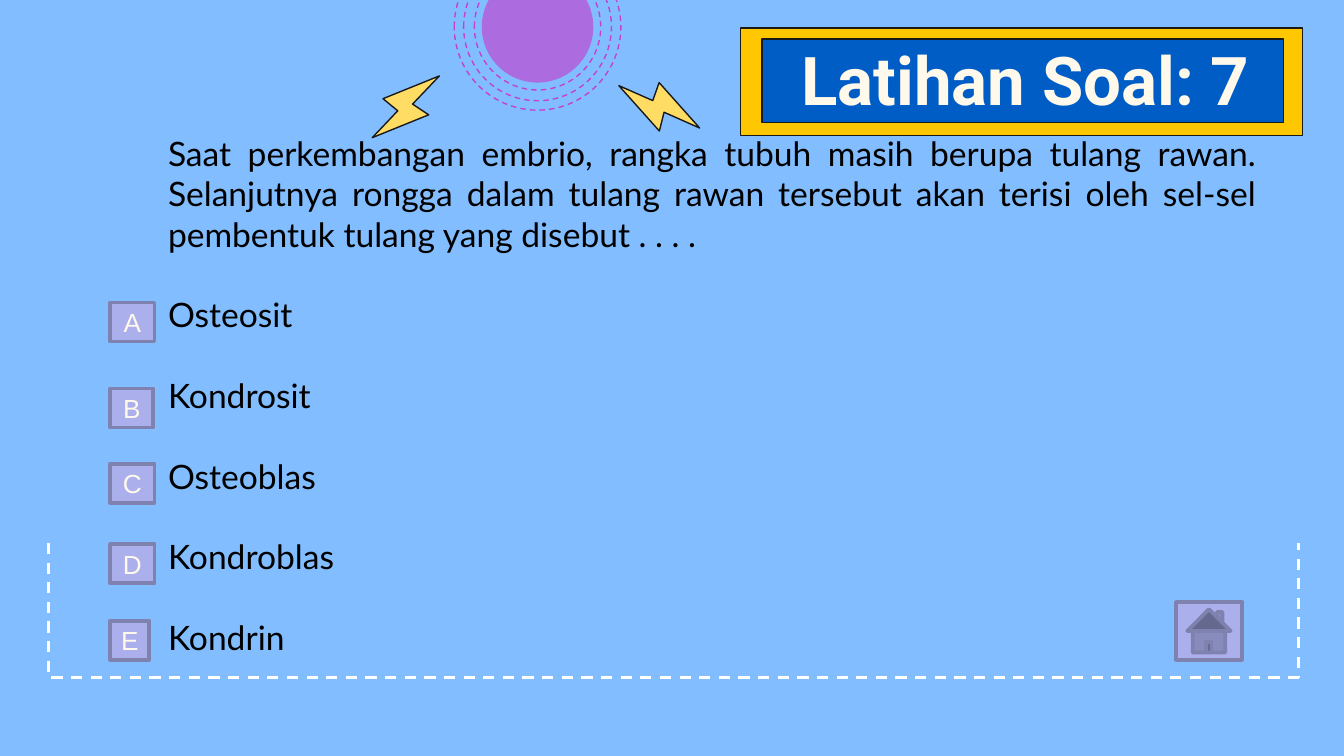
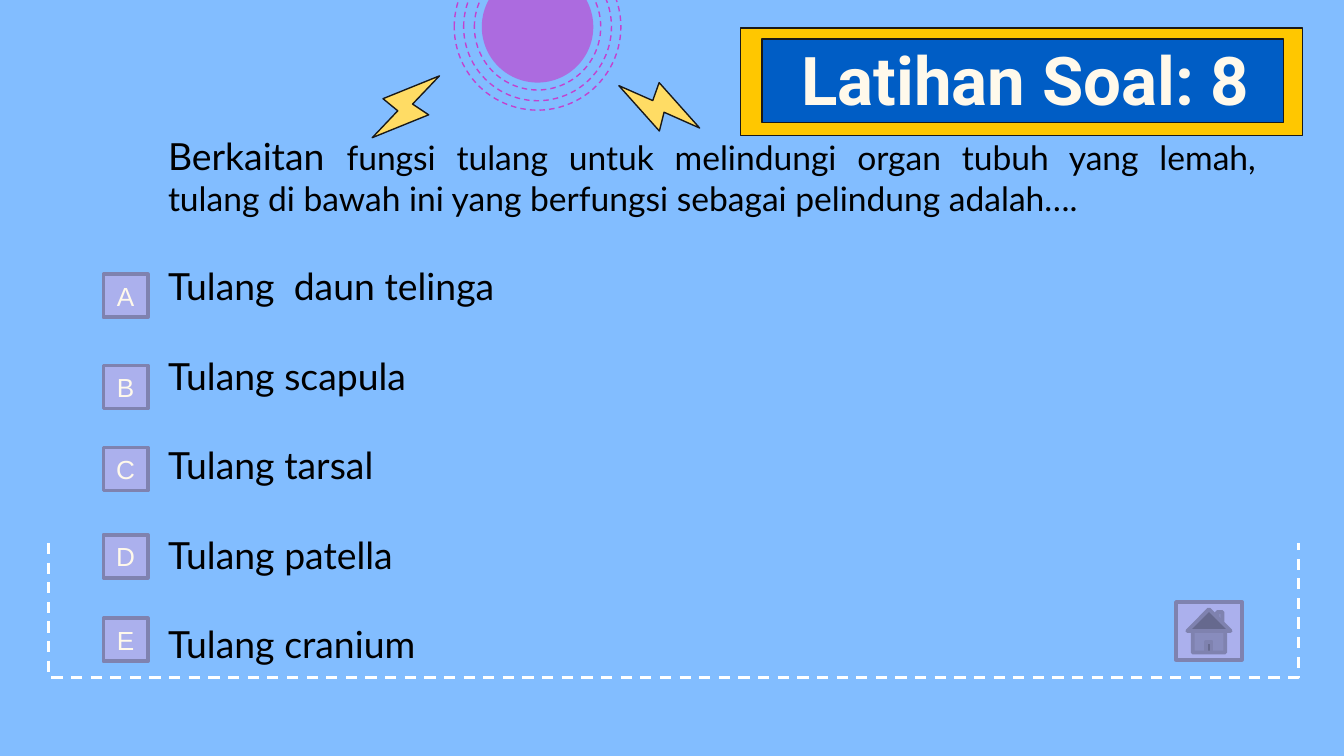
from dataclasses import dataclass

from lxml.etree import SubElement
from pptx import Presentation
from pptx.dml.color import RGBColor
from pptx.enum.dml import MSO_LINE
from pptx.enum.shapes import MSO_SHAPE as Preset
from pptx.enum.text import MSO_ANCHOR as Anchor
from pptx.enum.text import MSO_AUTO_SIZE as Fit
from pptx.enum.text import PP_ALIGN as Align
from pptx.oxml.ns import qn
from pptx.util import Inches, Pt

COLUMNS, ROWS = 100, 56.25


@dataclass(frozen=True)
class Theme:
    sky: str = "82BDFF"
    orchid: str = "C341CF"
    bolt: str = "FFDC64"
    ink: str = "191919"
    gold: str = "FFC700"
    royal: str = "005DC5"
    cream: str = "FFF9EB"
    white: str = "FFFFFF"
    black: str = "000000"
    lilac: str = "ABB0ED"
    slate: str = "7F82AF"
    title_font: str = "Roboto"
    body_font: str = "Lato"
    badge_font: str = "Arial"
    title_size: float = 36
    badge_size: float = 14
    thin: float = 0.75
    medium: float = 1.5
    thick: float = 2
    leading: float = 1.2


BOLT = [(-2.5, 2.3), (1.7, 0.6), (0.5, -0.2), (2.5, -2.3),
        (-1.7, -0.6), (-0.6, 0.3)]
FRAME = [(3.6, 40.4), (3.6, 50.4), (96.6, 50.4), (96.6, 40.4)]

QUIZ = [
    dict(
        number=7,
        question=[("Saat perkembangan embrio, rangka tubuh masih berupa tulang rawan. "
                   "Selanjutnya rongga dalam tulang rawan tersebut akan terisi oleh "
                   "sel-sel pembentuk tulang yang disebut . . . .", 18)],
        answers=["Osteosit", "Kondrosit", "Osteoblas", "Kondroblas", "Kondrin"],
        answer_size=18,
        body_height=40.4,
        badge_left=8.2,
        badge_height=2.9,
        badge_tops=[22.5, 28.9, 34.5, 40.5, 46.2],
        badge_widths=[3.3, 3.2, 3.3, 3.3, 2.9],
    ),
    dict(
        number=8,
        question=[("Berkaitan ", 20),
                  ("fungsi tulang untuk melindungi organ tubuh yang lemah, "
                   "tulang di bawah ini yang berfungsi sebagai pelindung adalah….", 18)],
        answers=["Tulang  daun telinga", "Tulang scapula", "Tulang tarsal",
                 "Tulang patella", "Tulang cranium"],
        answer_size=20,
        body_height=41.1,
        badge_left=7.7,
        badge_height=3.2,
        badge_tops=[20.4, 27.2, 33.3, 39.8, 46],
        badge_widths=[3.3] * 5,
    ),
]


def write(frame, paragraphs, *, font, color, align, bold=False, gap=0):
    for index, runs in enumerate(paragraphs):
        paragraph = frame.paragraphs[0] if index == 0 else frame.add_paragraph()
        properties = paragraph._p.get_or_add_pPr()
        properties.set("marL", "0")
        properties.set("indent", "0")
        SubElement(properties, qn("a:buNone"))
        paragraph.alignment = align
        paragraph.space_before = Pt(gap if index else 0)
        for words, size in runs:
            run = paragraph.add_run()
            run.text = words
            run.font.name = font
            run.font.size = Pt(size)
            run.font.bold = bold
            run.font.color.rgb = RGBColor.from_string(color)


class QuizDeck:
    def __init__(self, theme):
        self.theme = theme
        self.deck = Presentation()
        self.deck.slide_width, self.deck.slide_height = Inches(10), Inches(5.625)
        backdrop = self.deck.slide_master.background.fill
        backdrop.solid()
        backdrop.fore_color.rgb = RGBColor.from_string(theme.sky)
        self.slide = None

    def x(self, columns):
        return round(self.deck.slide_width * columns / COLUMNS)

    def y(self, rows):
        return round(self.deck.slide_height * rows / ROWS)

    def new_slide(self):
        self.slide = self.deck.slides.add_slide(self.deck.slide_layouts[1])

    def paint(self, shape, fill=None, line=None, weight=0, dashed=False, alpha=None):
        shape.shadow.inherit = False
        if fill:
            shape.fill.solid()
            shape.fill.fore_color.rgb = RGBColor.from_string(fill)
            if alpha:
                tint = shape._element.spPr.find(".//" + qn("a:srgbClr"))
                SubElement(tint, qn("a:alpha"), val=str(alpha * 1000))
        else:
            shape.fill.background()
        if line:
            shape.line.color.rgb = RGBColor.from_string(line)
            shape.line.width = Pt(weight)
            if dashed:
                shape.line.dash_style = MSO_LINE.DASH
        else:
            shape.line.fill.background()
        return shape

    def shape(self, preset, left, top, width, height, **look):
        drawn = self.slide.shapes.add_shape(
            preset, self.x(left), self.y(top), self.x(width), self.y(height))
        return self.paint(drawn, **look)

    def disc(self, center, diameter, **look):
        left, top = (value - diameter / 2 for value in center)
        return self.shape(Preset.OVAL, left, top, diameter, diameter, **look)

    def outline(self, points, close, **look):
        corners = [(self.x(column), self.y(row)) for column, row in points]
        builder = self.slide.shapes.build_freeform(*corners[0])
        builder.add_line_segments(corners[1:], close=close)
        return self.paint(builder.convert_to_shape(), **look)

    def bolt(self, column, row, angle=0):
        points = [(column + dx, row + dy) for dx, dy in BOLT]
        drawn = self.outline(points, True, fill=self.theme.bolt,
                             line=self.theme.ink, weight=self.theme.thin)
        drawn.rotation = angle

    def placeholder(self, index, left, top, width, height):
        holder = self.slide.placeholders[index]
        holder.left, holder.top = self.x(left), self.y(top)
        holder.width, holder.height = self.x(width), self.y(height)
        holder._element.getparent().append(holder._element)
        holder.text_frame.word_wrap = True
        return holder.text_frame

    def scenery(self):
        t = self.theme
        sun = (40, 2)
        for diameter in (12.4, 11, 9.4):
            self.disc(sun, diameter, line=t.orchid, weight=t.thin, dashed=True)
        self.disc(sun, 8.3, fill=t.orchid, alpha=66)
        self.bolt(30.2, 7.95)
        self.bolt(49.05, 7.95, 70.3)
        for fill, box in ((t.gold, (55.1, 2.1, 41.8, 8)),
                          (t.royal, (56.7, 2.9, 38.8, 6.2))):
            self.shape(Preset.RECTANGLE, *box, fill=fill, line=t.ink, weight=t.thin)
        self.outline(FRAME, False, line=t.white, weight=t.medium, dashed=True)

    def title(self, words):
        t = self.theme
        frame = self.placeholder(0, 54.5, 3.5, 43.6, 4.7)
        frame.auto_size = Fit.NONE
        frame.vertical_anchor = Anchor.MIDDLE
        frame.margin_top = frame.margin_bottom = Inches(0.1)
        write(frame, [[(words, t.title_size)]], font=t.title_font,
              color=t.cream, align=Align.CENTER, bold=True)

    def body(self, question, answers, size, height):
        t = self.theme
        frame = self.placeholder(1, 11.5, 9.4, 83, height)
        frame.auto_size = Fit.SHAPE_TO_FIT_TEXT
        frame.vertical_anchor = Anchor.TOP
        write(frame, [question] + [[(answer, size)] for answer in answers],
              font=t.body_font, color=t.black, align=Align.JUSTIFY,
              gap=size * t.leading)

    def button(self, preset, *box):
        return self.shape(preset, *box, fill=self.theme.lilac,
                          line=self.theme.slate, weight=self.theme.thick)

    def badge(self, letter, *box):
        t = self.theme
        frame = self.button(Preset.ACTION_BUTTON_CUSTOM, *box).text_frame
        frame.margin_left = frame.margin_right = 0
        frame.vertical_anchor = Anchor.MIDDLE
        write(frame, [[(letter, t.badge_size)]], font=t.badge_font,
              color=t.cream, align=Align.CENTER)

    def quiz_slide(self, item):
        self.new_slide()
        self.scenery()
        self.title(f"Latihan Soal: {item['number']}")
        self.body(item["question"], item["answers"],
                  item["answer_size"], item["body_height"])
        for letter, top, width in zip("ABCDE", item["badge_tops"], item["badge_widths"]):
            self.badge(letter, item["badge_left"], top, width, item["badge_height"])
        self.button(Preset.ACTION_BUTTON_HOME, 87.5, 44.8, 4.9, 4.3)


def main():
    quiz = QuizDeck(Theme())
    for item in QUIZ:
        quiz.quiz_slide(item)
    quiz.deck.save("out.pptx")


if __name__ == "__main__":
    main()
